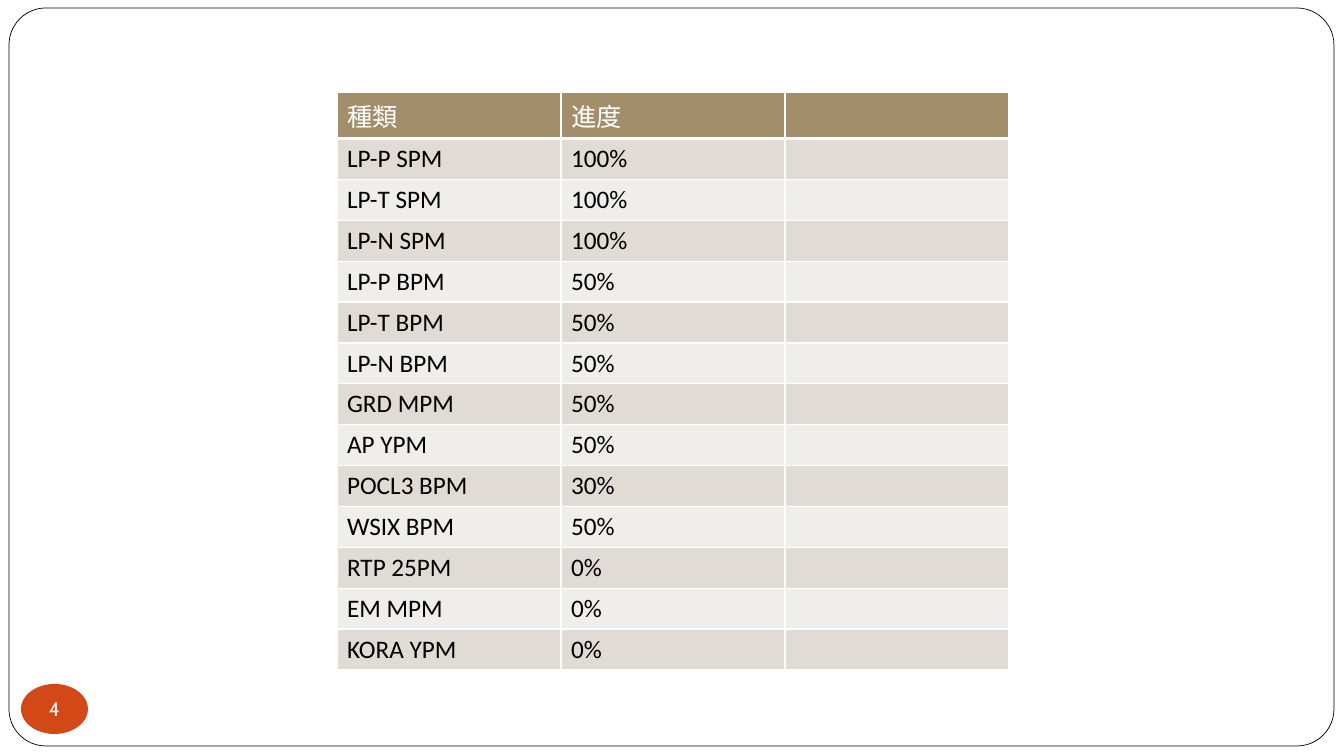
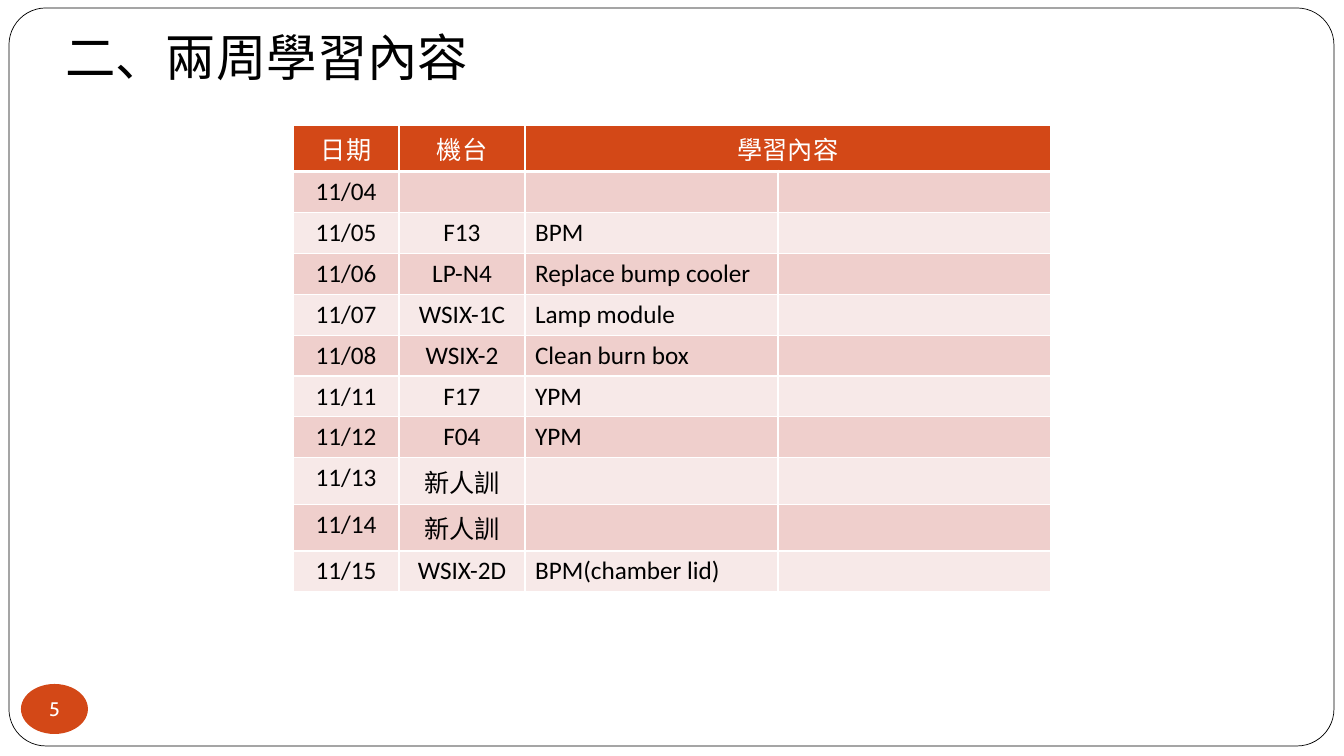
from lxml.etree import SubElement
from pptx import Presentation
from pptx.dml.color import RGBColor
from pptx.enum.shapes import MSO_SHAPE
from pptx.enum.text import MSO_ANCHOR, MSO_AUTO_SIZE, PP_ALIGN
from pptx.oxml.ns import qn
from pptx.util import Emu, Pt

# Content
SLIDES = [
    {
        "number": 4,
        "title": None,
        "at": (337, 92),
        "columns": [224, 224, 224],
        "centred": (),
        "colours": ("A28E6A", "E0DBD4", "F0EEEB"),
        "rows": [
            ("種類", "進度", ""),
            ("LP-P SPM", "100%", ""),
            ("LP-T SPM", "100%", ""),
            ("LP-N SPM", "100%", ""),
            ("LP-P BPM", "50%", ""),
            ("LP-T BPM", "50%", ""),
            ("LP-N BPM", "50%", ""),
            ("GRD MPM", "50%", ""),
            ("AP YPM", "50%", ""),
            ("POCL3 BPM", "30%", ""),
            ("WSIX BPM", "50%", ""),
            ("RTP 25PM", "0%", ""),
            ("EM MPM", "0%", ""),
            ("KORA YPM", "0%", ""),
        ],
    },
    {
        "number": 5,
        "title": "二、兩周學習內容",
        "at": (293, 125),
        "columns": [106, 126, 253, 273],
        "centred": (0, 1),
        "colours": ("D34817", "EFCFCC", "F7E9E8"),
        "header_merge": (2, 3),
        "rows": [
            ("日期", "機台", "學習內容", ""),
            ("11/04", "", "", ""),
            ("11/05", "F13", "BPM", ""),
            ("11/06", "LP-N4", "Replace bump cooler", ""),
            ("11/07", "WSIX-1C", "Lamp module", ""),
            ("11/08", "WSIX-2", "Clean burn box", ""),
            ("11/11", "F17", "YPM", ""),
            ("11/12", "F04", "YPM", ""),
            ("11/13", "新人訓", "", ""),
            ("11/14", "新人訓", "", ""),
            ("11/15", "WSIX-2D", "BPM(chamber lid)", ""),
        ],
    },
]

# Shared style
WHITE, BLACK, ACCENT = "FFFFFF", "000000", "D34817"
SLIDE_SIZE = (1344, 756)
FRAME = (9, 8, 1325, 738)
BADGE = (21, 684, 67, 50)
TITLE = (55, 21, 438, 72)
ROW_HEIGHT = 40  # rows grow to fit their text


def px(length):
    return Emu(round(length * 914400 / 100.8))


def colour(value):
    return RGBColor.from_string(value)


def write(text_frame, text, size=18, font="Calibri", color=BLACK, align=PP_ALIGN.LEFT):
    paragraph = text_frame.paragraphs[0]
    paragraph.alignment = align
    paragraph.font.size = Pt(size)
    if text:
        run = paragraph.add_run()
        run.text = text
        run.font.size = Pt(size)
        run.font.name = font
        run.font.color.rgb = colour(color)


def add_panel(slide, preset, box, fill, line=None):
    shape = slide.shapes.add_shape(preset, *map(px, box))
    shape.shadow.inherit = False
    shape.fill.solid()
    shape.fill.fore_color.rgb = colour(fill)
    if line:
        shape.line.color.rgb = colour(line)
        shape.line.width = Pt(0.5)
    else:
        shape.line.fill.background()
    return shape


def add_frame_to_master(presentation, slide):
    frame = add_panel(slide, MSO_SHAPE.ROUNDED_RECTANGLE, FRAME, WHITE, BLACK)
    frame.adjustments[0] = 0.05
    element = frame.element
    element.nvSpPr.cNvPr.set("id", "100")
    presentation.slide_master.shapes.element.insert(2, element)


def add_number(slide, number):
    badge = add_panel(slide, MSO_SHAPE.OVAL, BADGE, ACCENT)
    text_frame = badge.text_frame
    text_frame.margin_left = text_frame.margin_right = 0
    text_frame.margin_top = text_frame.margin_bottom = 0
    text_frame.word_wrap = False
    text_frame.vertical_anchor = MSO_ANCHOR.MIDDLE
    write(text_frame, str(number), size=14, font="Cabin", color=WHITE, align=PP_ALIGN.CENTER)


def format_title(slide, text):
    title = slide.shapes.title
    title.left, title.top, title.width, title.height = map(px, TITLE)
    text_frame = title.text_frame
    text_frame.word_wrap = True
    text_frame.auto_size = MSO_AUTO_SIZE.NONE
    text_frame.vertical_anchor = MSO_ANCHOR.TOP
    write(text_frame, text, size=36)


def format_cell(cell, fill, bottom_width):
    properties = cell._tc.get_or_add_tcPr()
    for side, width in (("L", 1), ("R", 1), ("T", 1), ("B", bottom_width)):
        line = SubElement(properties, qn(f"a:ln{side}"), w=str(Pt(width)))
        line_fill = SubElement(line, qn("a:solidFill"))
        SubElement(line_fill, qn("a:srgbClr"), val=WHITE)
    cell.fill.solid()
    cell.fill.fore_color.rgb = colour(fill)


def add_table(slide, content):
    rows, columns = content["rows"], content["columns"]
    header_fill, odd_fill, even_fill = content["colours"]
    size = (sum(columns), ROW_HEIGHT * len(rows))
    table = slide.shapes.add_table(len(rows), len(columns), *map(px, content["at"] + size)).table
    table.horz_banding = False
    for column, width in zip(table.columns, columns):
        column.width = px(width)
    merged = content.get("header_merge", ())
    for row_index, row in enumerate(rows):
        table.rows[row_index].height = px(ROW_HEIGHT)
        header = row_index == 0
        fill = header_fill if header else odd_fill if row_index % 2 else even_fill
        for column_index, text in enumerate(row):
            cell = table.cell(row_index, column_index)
            format_cell(cell, fill, 3 if header else 1)
            centred = column_index in content["centred"] or header and column_index in merged
            write(cell.text_frame, text, color=WHITE if header else BLACK,
                  align=PP_ALIGN.CENTER if centred else PP_ALIGN.LEFT)
    if merged:
        first, last = merged
        table.cell(0, first).merge(table.cell(0, last))


def main():
    presentation = Presentation()
    presentation.slide_width, presentation.slide_height = map(px, SLIDE_SIZE)
    title_only, blank = presentation.slide_layouts[5], presentation.slide_layouts[6]
    for index, content in enumerate(SLIDES):
        slide = presentation.slides.add_slide(title_only if content["title"] else blank)
        if index == 0:
            add_frame_to_master(presentation, slide)
        if content["title"]:
            format_title(slide, content["title"])
        add_number(slide, content["number"])
        add_table(slide, content)
    presentation.save("out.pptx")


if __name__ == "__main__":
    main()
